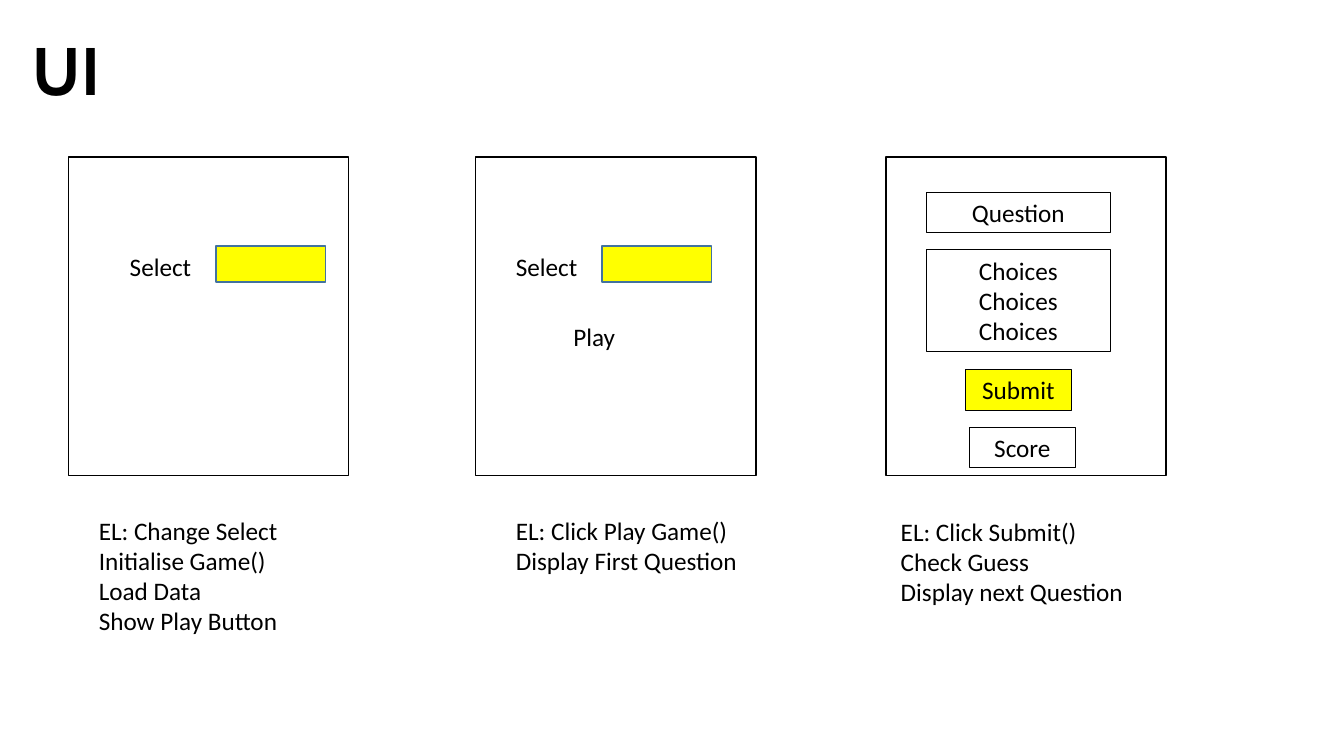
"""Build the UI slide: three quiz screens with their event listeners."""
from dataclasses import dataclass

import pptx
import pptx.dml.color
import pptx.enum.shapes
import pptx.enum.text
import pptx.presentation
import pptx.shapes.autoshape
import pptx.slide
import pptx.util

Cm = pptx.util.Cm
BLACK = "000000"
YELLOW = "FFFF00"
BLUE = "43739E"
SCREEN_TOP, SCREEN_WIDTH, SCREEN_HEIGHT = 3.96, 7.06, 8.03
SELECT_TOP = 6.2
NOTE_TOP = 12.85


@dataclass(frozen=True)
class Label:
    """Plain text, placed in centimetres."""
    left: float
    top: float
    width: float
    text: str
    size: float = 18
    font: str = "Calibri"
    bold: bool = False

    @property
    def height(self) -> float:
        """Return the height that fits the lines at this size."""
        lines = self.text.count("\n") + 1
        return round(0.25 + lines * self.size * 0.043, 2)


@dataclass(frozen=True)
class Control(Label):
    """Outlined text inside a screen."""
    fill: str | None = None


SCREEN_LEFTS = (1.73, 11.99, 22.33)
SELECT_LEFTS = (3.02, 12.75)
DROPDOWN_OFFSET = 2.42

LABELS = (
    Label(0.58, 0.58, 4.85, "UI", size=48, font="Cabin", bold=True),
    *(Label(left, SELECT_TOP, 2.21, "Select") for left in SELECT_LEFTS),
    Label(14.2, 7.98, 1.93, "Play"),
    Label(2.24, NOTE_TOP, 5.97,
          "EL: Change Select\nInitialise Game()\nLoad Data\nShow Play Button"),
    Label(12.75, NOTE_TOP, 6.93, "EL: Click Play Game()\nDisplay First Question"),
    Label(22.45, NOTE_TOP + 0.03, 6.93,
          "EL: Click Submit()\nCheck Guess\nDisplay next Question"),
)
CONTROLS = (
    Control(23.34, 4.85, 4.65, "Question"),
    Control(23.34, 6.3, 4.65, "\n".join(["Choices"] * 3)),
    Control(24.33, 9.32, 2.67, "Submit", fill=YELLOW),
    Control(24.43, 10.77, 2.67, "Score"),
)


def color(value: str) -> pptx.dml.color.RGBColor:
    """Turn a hex string into a colour."""
    return pptx.dml.color.RGBColor.from_string(value)


def draw_rectangle(slide: pptx.slide.Slide, left: float, top: float, width: float,
                   height: float, fill: str | None = None, line: str = BLACK,
                   line_width: float = 1) -> pptx.shapes.autoshape.Shape:
    """Draw an outlined rectangle, filled if a colour is given."""
    shape = slide.shapes.add_shape(pptx.enum.shapes.MSO_SHAPE.RECTANGLE,
                                   Cm(left), Cm(top), Cm(width), Cm(height))
    shape.shadow.inherit = False
    if fill is None:
        shape.fill.background()
    else:
        shape.fill.solid()
        shape.fill.fore_color.rgb = color(fill)
    shape.line.color.rgb = color(line)
    shape.line.width = pptx.util.Pt(line_width)
    return shape


def write_text(shape: pptx.shapes.autoshape.Shape, label: Label,
               alignment: pptx.enum.text.PP_ALIGN) -> None:
    """Put the text of a label into a shape and format it."""
    frame = shape.text_frame
    frame.text = label.text
    frame.word_wrap = True
    frame.auto_size = pptx.enum.text.MSO_AUTO_SIZE.SHAPE_TO_FIT_TEXT
    frame.vertical_anchor = pptx.enum.text.MSO_ANCHOR.TOP
    for paragraph in frame.paragraphs:
        paragraph.alignment = alignment
        for run in paragraph.runs:
            run.font.name = label.font
            run.font.size = pptx.util.Pt(label.size)
            run.font.bold = label.bold
            run.font.color.rgb = color(BLACK)


def draw_label(slide: pptx.slide.Slide, label: Label) -> None:
    """Draw plain left-aligned text."""
    shape = slide.shapes.add_textbox(Cm(label.left), Cm(label.top),
                                     Cm(label.width), Cm(label.height))
    write_text(shape, label, pptx.enum.text.PP_ALIGN.LEFT)


def draw_control(slide: pptx.slide.Slide, control: Control) -> None:
    """Draw a box with centred text."""
    shape = draw_rectangle(slide, control.left, control.top, control.width,
                           control.height, control.fill, line_width=0.75)
    write_text(shape, control, pptx.enum.text.PP_ALIGN.CENTER)


def build() -> pptx.presentation.Presentation:
    """Build the presentation with its one slide."""
    presentation = pptx.Presentation()
    presentation.slide_width = Cm(33.87)
    presentation.slide_height = Cm(19.05)
    slide = presentation.slides.add_slide(presentation.slide_layouts[6])
    for left in SCREEN_LEFTS:
        draw_rectangle(slide, left, SCREEN_TOP, SCREEN_WIDTH, SCREEN_HEIGHT)
    for left in SELECT_LEFTS:
        draw_rectangle(slide, left + DROPDOWN_OFFSET, SELECT_TOP, 2.77, 0.91,
                       YELLOW, BLUE)
    for label in LABELS:
        draw_label(slide, label)
    for control in CONTROLS:
        draw_control(slide, control)
    return presentation


build().save("out.pptx")
